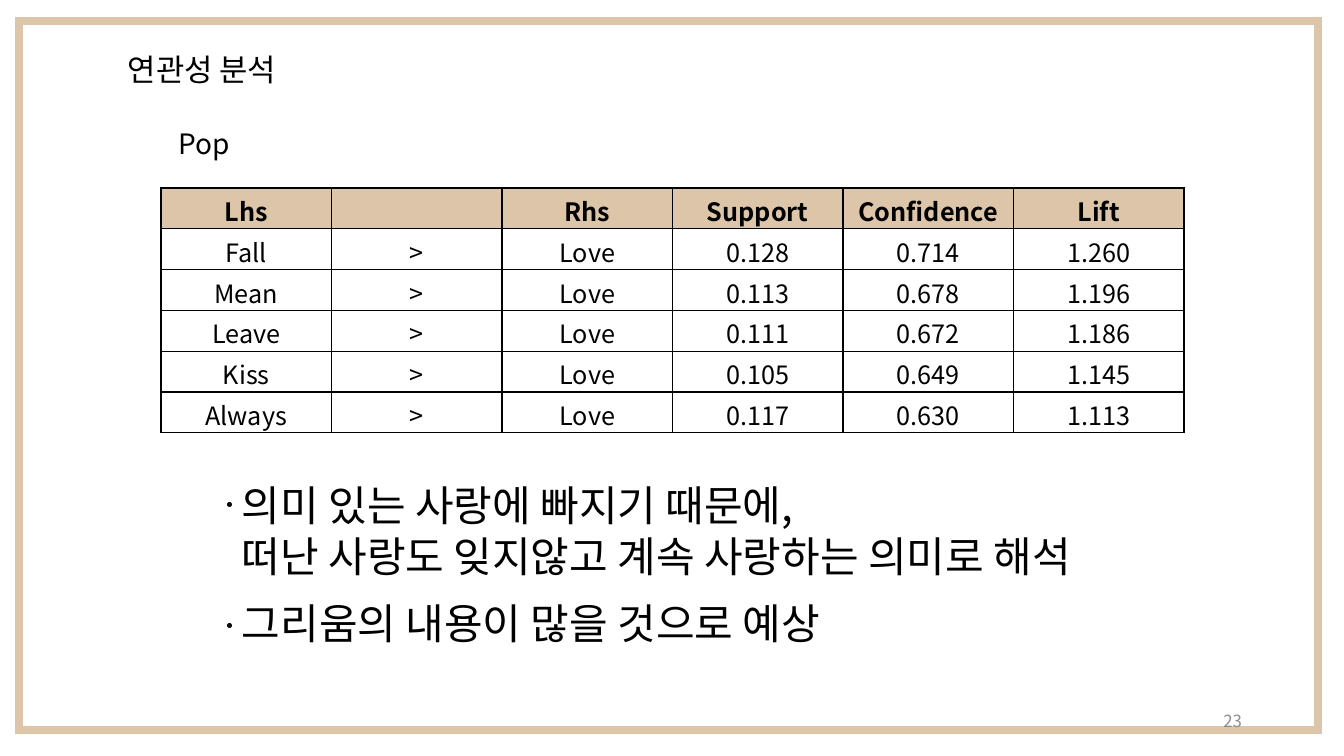
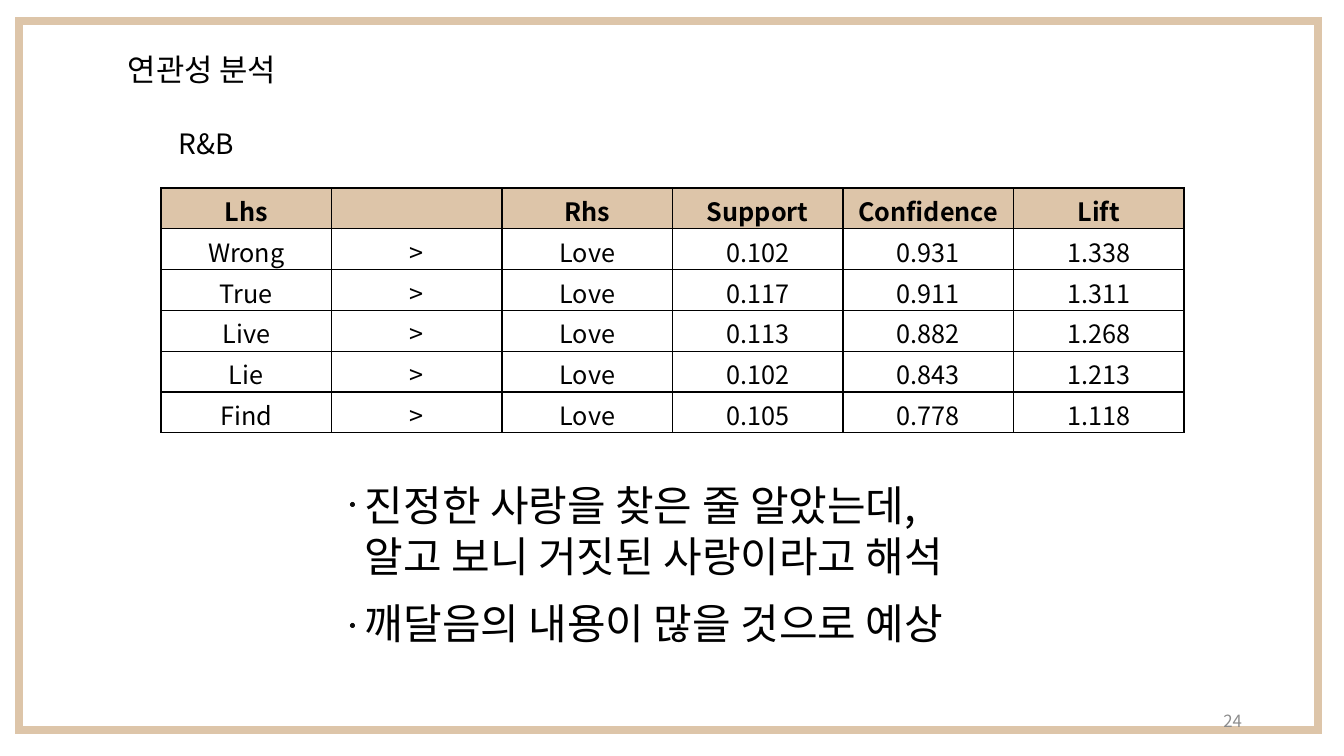
"""Build two slides of association rules, one per music genre."""
import lxml.etree
import pptx
import pptx.dml.color
import pptx.enum.shapes
import pptx.enum.text
import pptx.oxml
import pptx.oxml.ns
import pptx.util

PX = 9071
FONT = "Noto Sans CJK KR"
TAN = "DDC5A9"
BLACK = "000000"
GRAY = "8C8C8C"
DOT = "0D0D0D"
LEFT = pptx.enum.text.PP_ALIGN.LEFT
CENTER = pptx.enum.text.PP_ALIGN.CENTER
RIGHT = pptx.enum.text.PP_ALIGN.RIGHT
TOP = pptx.enum.text.MSO_ANCHOR.TOP
MIDDLE = pptx.enum.text.MSO_ANCHOR.MIDDLE
BOTTOM = pptx.enum.text.MSO_ANCHOR.BOTTOM
SHAPES = pptx.enum.shapes.MSO_SHAPE
HEADER = ["Lhs", "", "Rhs", "Support", "Confidence", "Lift"]
GENRES = [
    {
        "name": "Pop",
        "number": "23",
        "rules": [
            ("Fall", "0.128", "0.714", "1.260"),
            ("Mean", "0.113", "0.678", "1.196"),
            ("Leave", "0.111", "0.672", "1.186"),
            ("Kiss", "0.105", "0.649", "1.145"),
            ("Always", "0.117", "0.630", "1.113"),
        ],
        "notes": "의미 있는 사랑에 빠지기 때문에,\n떠난 사랑도 잊지않고 계속 사랑하는 의미로 해석\n그리움의 내용이 많을 것으로 예상",
        "notes_left": 232,
        "notes_width": 885,
    },
    {
        "name": "R&B",
        "number": "24",
        "rules": [
            ("Wrong", "0.102", "0.931", "1.338"),
            ("True", "0.117", "0.911", "1.311"),
            ("Live", "0.113", "0.882", "1.268"),
            ("Lie", "0.102", "0.843", "1.213"),
            ("Find", "0.105", "0.778", "1.118"),
        ],
        "notes": "진정한 사랑을 찾은 줄 알았는데,\n알고 보니 거짓된 사랑이라고 해석\n깨달음의 내용이 많을 것으로 예상",
        "notes_left": 355,
        "notes_width": 640,
    },
]


def rgb(value):
    """Return the colour of a hex string."""
    return pptx.dml.color.RGBColor.from_string(value)


def write_text(frame, text, size, color=BLACK, bold=False, align=LEFT, last_gap=0):
    """Write one paragraph per line of text, with a gap before the last."""
    frame.text = text
    for paragraph in frame.paragraphs:
        paragraph.alignment = align
        for run in paragraph.runs:
            run.font.size = pptx.util.Pt(size)
            run.font.bold = bold
            run.font.color.rgb = rgb(color)
            run.font.name = FONT
            east_asian = lxml.etree.SubElement(run.font._element, pptx.oxml.ns.qn("a:ea"))
            east_asian.set("typeface", FONT)
    if last_gap:
        frame.paragraphs[-1].space_before = pptx.util.Pt(last_gap)


presentation = pptx.Presentation()
presentation.slide_width = 1344 * PX
presentation.slide_height = 756 * PX

for genre in GENRES:
    slide = presentation.slides.add_slide(presentation.slide_layouts[6])

    border = slide.shapes.add_shape(SHAPES.RECTANGLE, 19 * PX, 21 * PX, 1299 * PX, 709 * PX)
    border.shadow.inherit = False
    border.fill.background()
    border.line.color.rgb = rgb(TAN)
    border.line.width = pptx.util.Pt(6)
    lxml.etree.SubElement(border.line._get_or_add_ln(), pptx.oxml.ns.qn("a:miter")).set("lim", "800000")

    table_shape = slide.shapes.add_table(6, 6, 161 * PX, 188 * PX, 1023 * PX, 245 * PX)
    table = table_shape.table
    table.horz_banding = False
    rows = [HEADER] + [[word, ">", "Love", *values] for word, *values in genre["rules"]]
    for row_index, row in enumerate(rows):
        is_header = row_index == 0
        for column_index, text in enumerate(row):
            cell = table.cell(row_index, column_index)
            cell.margin_top = cell.margin_bottom = 0
            cell.vertical_anchor = BOTTOM
            write_text(cell.text_frame, text, size=18, bold=is_header, align=CENTER)
            properties = cell._tc.get_or_add_tcPr()
            for side in ("lnL", "lnR", "lnT", "lnB"):
                properties.append(pptx.oxml.parse_xml(
                    f'<a:{side} {pptx.oxml.ns.nsdecls("a")} w="12700"><a:solidFill>'
                    f'<a:srgbClr val="{BLACK}"/></a:solidFill></a:{side}>'))
            if is_header:
                cell.fill.solid()
                cell.fill.fore_color.rgb = rgb(TAN)
            else:
                cell.fill.background()

    notes_left = genre["notes_left"]
    text_boxes = [
        ("연관성 분석", (118, 46, 527, 47), TOP, {"size": 22}),
        (genre["name"], (169, 122, 173, 44), TOP, {"size": 20}),
        (genre["notes"], (notes_left, 475, genre["notes_width"], 179), TOP, {"size": 30, "last_gap": 12}),
        (genre["number"], (950, 701, 302, 40), MIDDLE, {"size": 12, "color": GRAY, "align": RIGHT}),
    ]
    for text, box, anchor, text_format in text_boxes:
        frame = slide.shapes.add_textbox(*[length * PX for length in box]).text_frame
        frame.word_wrap = True
        frame.vertical_anchor = anchor
        write_text(frame, text, **text_format)

    for dot_top in (502, 623):
        dot = slide.shapes.add_shape(SHAPES.OVAL, (notes_left - 5) * PX, dot_top * PX, 5 * PX, 5 * PX)
        dot.shadow.inherit = False
        dot.fill.solid()
        dot.fill.fore_color.rgb = rgb(DOT)
        dot.line.fill.background()

presentation.save("out.pptx")
